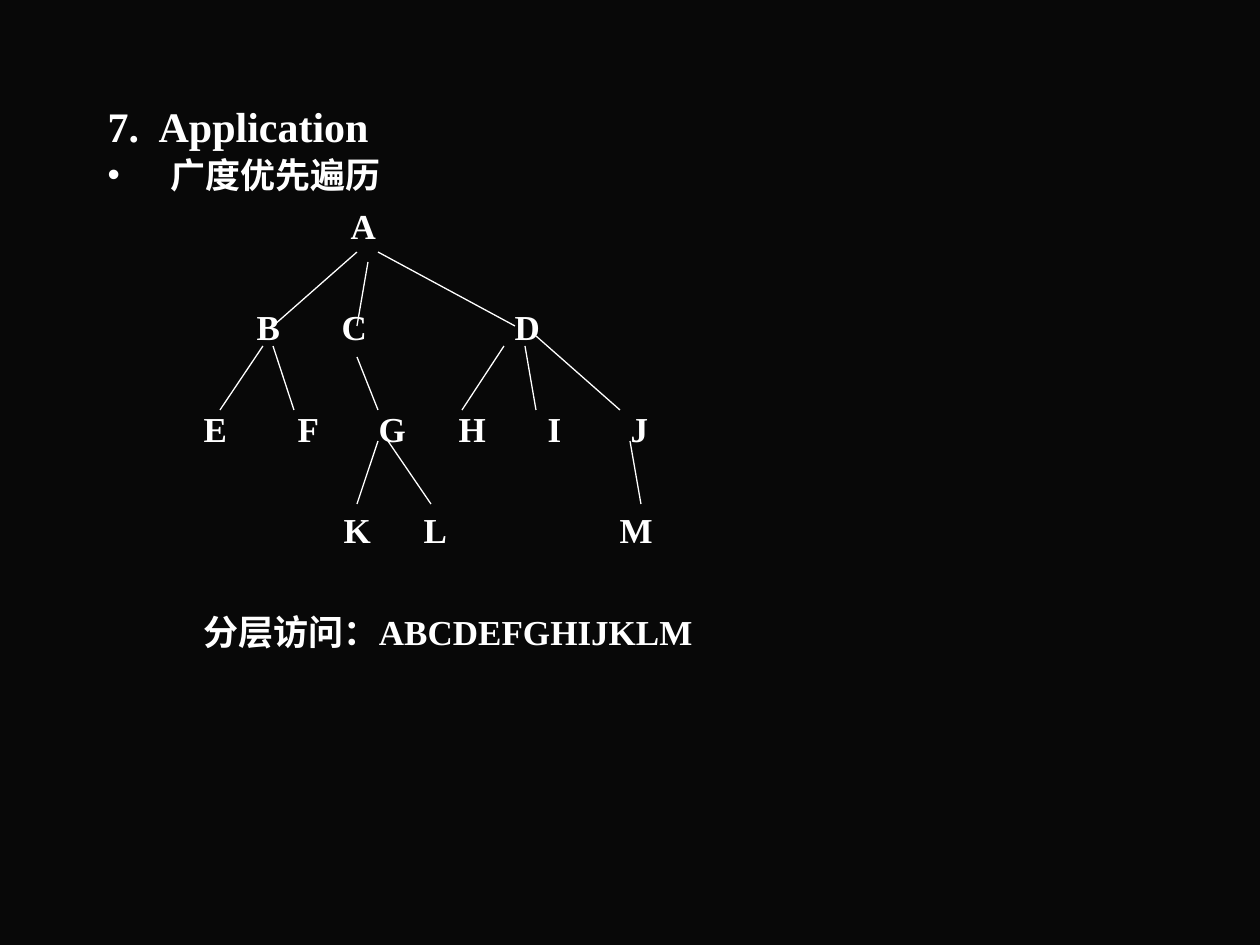
from dataclasses import dataclass

from lxml.etree import SubElement
from pptx import Presentation
from pptx.dml.color import RGBColor
from pptx.enum.shapes import MSO_CONNECTOR
from pptx.enum.text import MSO_ANCHOR, MSO_AUTO_SIZE, PP_ALIGN
from pptx.oxml.ns import qn
from pptx.util import Emu, Pt


@dataclass(frozen=True)
class Theme:
    background: RGBColor = RGBColor(0x08, 0x08, 0x08)
    ink: RGBColor = RGBColor(0xFF, 0xFF, 0xFF)
    font: str = "Times New Roman"
    title_size: int = 24
    body_size: int = 20
    edge_width: float = 0.75


@dataclass(frozen=True)
class Row:
    """One line of body text: pieces placed at px offsets from the text edge."""
    pieces: tuple[str, ...]
    offsets: tuple[int, ...]
    space_before: int = 34


@dataclass(frozen=True)
class Edge:
    parent: tuple[int, int]
    child: tuple[int, int]


THEME = Theme()
EMU_PER_PX = 914400 / 126

ROWS = (
    Row(("A",), (243,), 5),
    Row(("B", "C", "D"), (149, 234, 407)),
    Row(("E", "F", "G", "H", "I", "J"), (96, 190, 271, 351, 440, 523)),
    Row(("K", "L", "M"), (236, 316, 512)),
    Row(("分层访问：ABCDEFGHIJKLM",), (96,)),
)

EDGES = (
    Edge((357, 252), (273, 326)),  # A-B
    Edge((368, 262), (357, 326)),  # A-C
    Edge((378, 252), (515, 326)),  # A-D
    Edge((263, 346), (220, 410)),  # B-E
    Edge((273, 346), (294, 410)),  # B-F
    Edge((357, 357), (378, 410)),  # C-G
    Edge((504, 346), (462, 410)),  # D-H
    Edge((525, 346), (536, 410)),  # D-I
    Edge((536, 336), (620, 410)),  # D-J
    Edge((378, 441), (357, 504)),  # G-K
    Edge((388, 441), (431, 504)),  # G-L
    Edge((630, 441), (641, 504)),  # J-M
)


def px(length: int) -> Emu:
    return Emu(round(length * EMU_PER_PX))


def clear_master_indents(presentation) -> None:
    """Drop the inherited hanging indent, which would override tab stops."""
    master = presentation.slide_master.element
    for style in ("a:lvl1pPr",):
        for properties in master.iter(qn(style)):
            properties.attrib.pop("marL", None)
            properties.attrib.pop("indent", None)


def place(placeholder, left: int, top: int, width: int, height: int, anchor):
    placeholder.left, placeholder.top = px(left), px(top)
    placeholder.width, placeholder.height = px(width), px(height)
    frame = placeholder.text_frame
    frame.word_wrap = True
    frame.auto_size = MSO_AUTO_SIZE.NONE
    frame.vertical_anchor = anchor
    return frame


def format_paragraph(paragraph, offsets: tuple[int, ...] = (), bullet: str = "",
                     hanging: int = 0, space_before: int = 0) -> None:
    properties = paragraph._p.get_or_add_pPr()
    if bullet:
        properties.set("marL", str(px(hanging)))
        properties.set("indent", str(-px(hanging)))
        SubElement(properties, qn("a:buChar"), char=bullet)
    else:
        SubElement(properties, qn("a:buNone"))
    if offsets:
        stops = SubElement(properties, qn("a:tabLst"))
        for offset in offsets:
            SubElement(stops, qn("a:tab"), pos=str(px(offset)), algn="l")
    paragraph.alignment = PP_ALIGN.LEFT
    paragraph.space_before = Pt(space_before)


def add_text(paragraph, text: str, size: int) -> None:
    run = paragraph.add_run()
    run.text = text
    run.font.name = THEME.font
    run.font.size = Pt(size)
    run.font.bold = True
    run.font.color.rgb = THEME.ink


def add_row(frame, row: Row) -> None:
    paragraph = frame.add_paragraph()
    format_paragraph(paragraph, row.offsets, space_before=row.space_before)
    for piece in row.pieces:
        add_text(paragraph, "\t" + piece, THEME.body_size)


def add_edge(tree, edge: Edge) -> None:
    line = tree.shapes.add_connector(
        MSO_CONNECTOR.STRAIGHT, *map(px, edge.parent + edge.child))
    line.line.color.rgb = THEME.ink
    line.line.width = Pt(THEME.edge_width)
    SubElement(line._element.spPr, qn("a:effectLst"))


def main() -> None:
    presentation = Presentation()
    presentation.slide_width, presentation.slide_height = px(1260), px(945)
    clear_master_indents(presentation)
    slide = presentation.slides.add_slide(presentation.slide_layouts[1])
    slide.background.fill.solid()
    slide.background.fill.fore_color.rgb = THEME.background

    title = place(slide.shapes.title, 95, 84, 1071, 84, MSO_ANCHOR.MIDDLE)
    heading = title.paragraphs[0]
    format_paragraph(heading, (51,))
    add_text(heading, "7.\tApplication", THEME.title_size)

    body = place(slide.placeholders[1], 95, 147, 1071, 703, MSO_ANCHOR.TOP)
    topic = body.paragraphs[0]
    format_paragraph(topic, bullet="•", hanging=63)
    add_text(topic, "广度优先遍历", THEME.body_size)
    for row in ROWS:
        add_row(body, row)

    tree = slide.shapes.add_group_shape()
    for edge in EDGES:
        add_edge(tree, edge)

    presentation.save("out.pptx")


if __name__ == "__main__":
    main()
